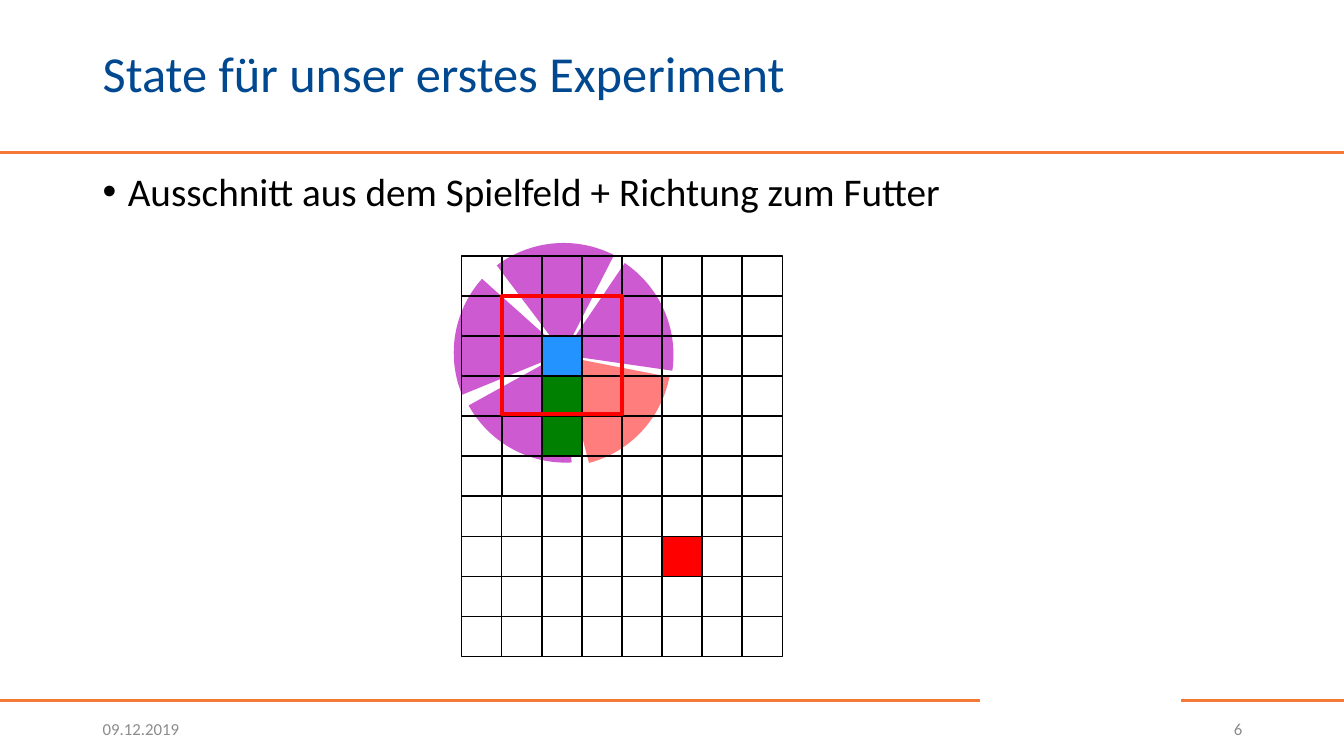
import pptx
import pptx.dml.color
import pptx.enum.shapes
import pptx.enum.text
import pptx.oxml.ns
import pptx.util
from lxml import etree

THEME = {
    "font": "Calibri",
    "title": 36, "body": 28, "foot": 12,
    "blue": "004990", "black": "000000", "gray": "8C8C8C",
    "rule": "F47936", "empty": "FFFFFF", "fan": "CD5AD0", "goal": "FF2B2B",
    "head": "2393FF", "tail": "008000", "food": "FF0000", "view": "FF0000",
}
KIND = pptx.enum.shapes.MSO_SHAPE
ALIGN = pptx.enum.text.PP_ALIGN
ANCHOR = pptx.enum.text.MSO_ANCHOR
inch = pptx.util.Inches
qn = pptx.oxml.ns.qn


def color(name):
    """Return a theme colour by its name."""
    return pptx.dml.color.RGBColor.from_string(THEME[name])


def write(text, left, top, width, height, size="foot", tint="gray",
          align=ALIGN.LEFT, anchor=ANCHOR.MIDDLE, space=1.0, bullet=None):
    """Place one paragraph of text, with a bullet if one is given."""
    box = slide.shapes.add_textbox(inch(left), inch(top), inch(width), inch(height))
    frame = box.text_frame
    frame.word_wrap = True
    frame.vertical_anchor = anchor
    par = frame.paragraphs[0]
    par.alignment = align
    par.line_spacing = space
    run = par.add_run()
    run.text = text
    run.font.name = THEME["font"]
    run.font.size = pptx.util.Pt(THEME[size])
    run.font.color.rgb = color(tint)
    if bullet:
        par.space_before = pptx.util.Pt(10)
        props = par._p.get_or_add_pPr()
        props.set("marL", str(inch(0.25)))
        props.set("indent", str(-inch(0.25)))
        etree.SubElement(props, qn("a:buFont")).set("typeface", "Arial")
        etree.SubElement(props, qn("a:buChar")).set("char", bullet)


def draw(home, kind, left, top, width, height, fill=None, line=None, weight=1):
    """Add a plain shape to the slide or to a group."""
    shape = home.add_shape(kind, inch(left), inch(top), inch(width), inch(height))
    shape.shadow.inherit = False
    if fill:
        shape.fill.solid()
        shape.fill.fore_color.rgb = color(fill)
    else:
        shape.fill.background()
    if line:
        shape.line.color.rgb = color(line)
        shape.line.width = pptx.util.Pt(weight)
    else:
        shape.line.fill.background()
    return shape


deck = pptx.Presentation()
WIDE, HIGH = 13.33, 7.5
deck.slide_width, deck.slide_height = inch(WIDE), inch(HIGH)
slide = deck.slides.add_slide(deck.slide_layouts[6])

# Rules under the title and above the footer
for start, end, level in [(0, WIDE, 1.51), (0, 9.72, 6.95), (11.71, WIDE, 6.95)]:
    rule = slide.shapes.add_connector(
        pptx.enum.shapes.MSO_CONNECTOR.STRAIGHT,
        inch(start), inch(level), inch(end), inch(level))
    rule.line.color.rgb = color("rule")
    rule.line.width = pptx.util.Pt(2)
    etree.SubElement(rule._element.spPr, qn("a:effectLst"))

# Five sectors around the head; the lit one points to the food
FAN = 2.2
for left, top, turn, fill in [
        (4.49, 2.41, 221.9, "fan"), (4.46, 2.43, 0, "goal"),
        (4.48, 2.42, 293.1, "fan"), (4.5, 2.4, 146.7, "fan"),
        (4.51, 2.39, 75.9, "fan")]:
    pie = draw(slide.shapes, KIND.PIE, left, top, FAN, FAN, fill)
    pie.rotation = turn
    for place, angle in enumerate([11.02, 75.13]):
        pie.adjustments[place] = angle * 0.6
    if fill == "goal":
        tone = pie._element.spPr.find(".//" + qn("a:srgbClr"))
        etree.SubElement(tone, qn("a:alpha")).set("val", "61000")

# Texts
SIDE, MAIN = 0.92, 11.5
write("State für unser erstes Experiment", SIDE, 0.17, MAIN, 1.18,
      size="title", tint="blue", space=0.9)
write("Ausschnitt aus dem Spielfeld + Richtung zum Futter", SIDE, 1.66, MAIN, 0.69,
      size="body", tint="black", anchor=ANCHOR.TOP, space=0.9, bullet="•")
write("09.12.2019", SIDE, 7.03, 1.17, 0.4)
write("6", 11.63, 7.03, 0.79, 0.4, align=ALIGN.RIGHT)

# Board: cells near the fan stay clear so that it shows through
COLS, ROWS, CELL = 8, 10, 0.4
LEFT, TOP = 4.58, 2.54
STEP = (7.36 - LEFT) / (COLS - 1)
MARKS = {(2, 2): "head", (2, 3): "tail", (2, 4): "tail", (5, 7): "food"}
board = slide.shapes.add_group_shape().shapes
for row in range(ROWS):
    for col in range(COLS):
        clear = col < 6 and row < 6 and (col, row) != (5, 5)
        fill = MARKS.get((col, row), None if clear else "empty")
        draw(board, KIND.RECTANGLE, LEFT + col * STEP, TOP + row * STEP,
             CELL, CELL, fill, "black")

# Field of view around the head
draw(board, KIND.RECTANGLE, LEFT + STEP, TOP + STEP, 3 * STEP, 1.17,
     line="view", weight=3)

deck.save("out.pptx")
